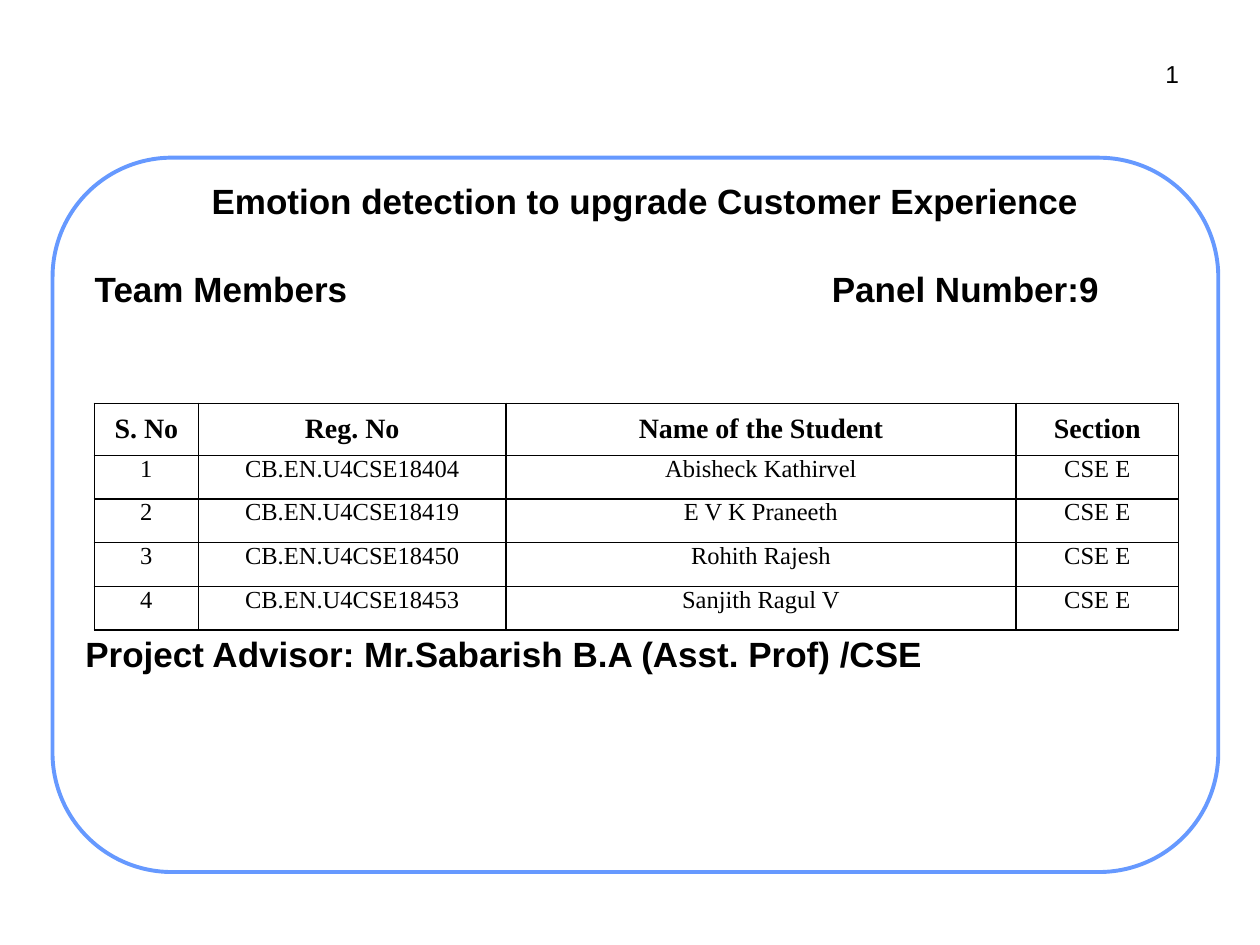
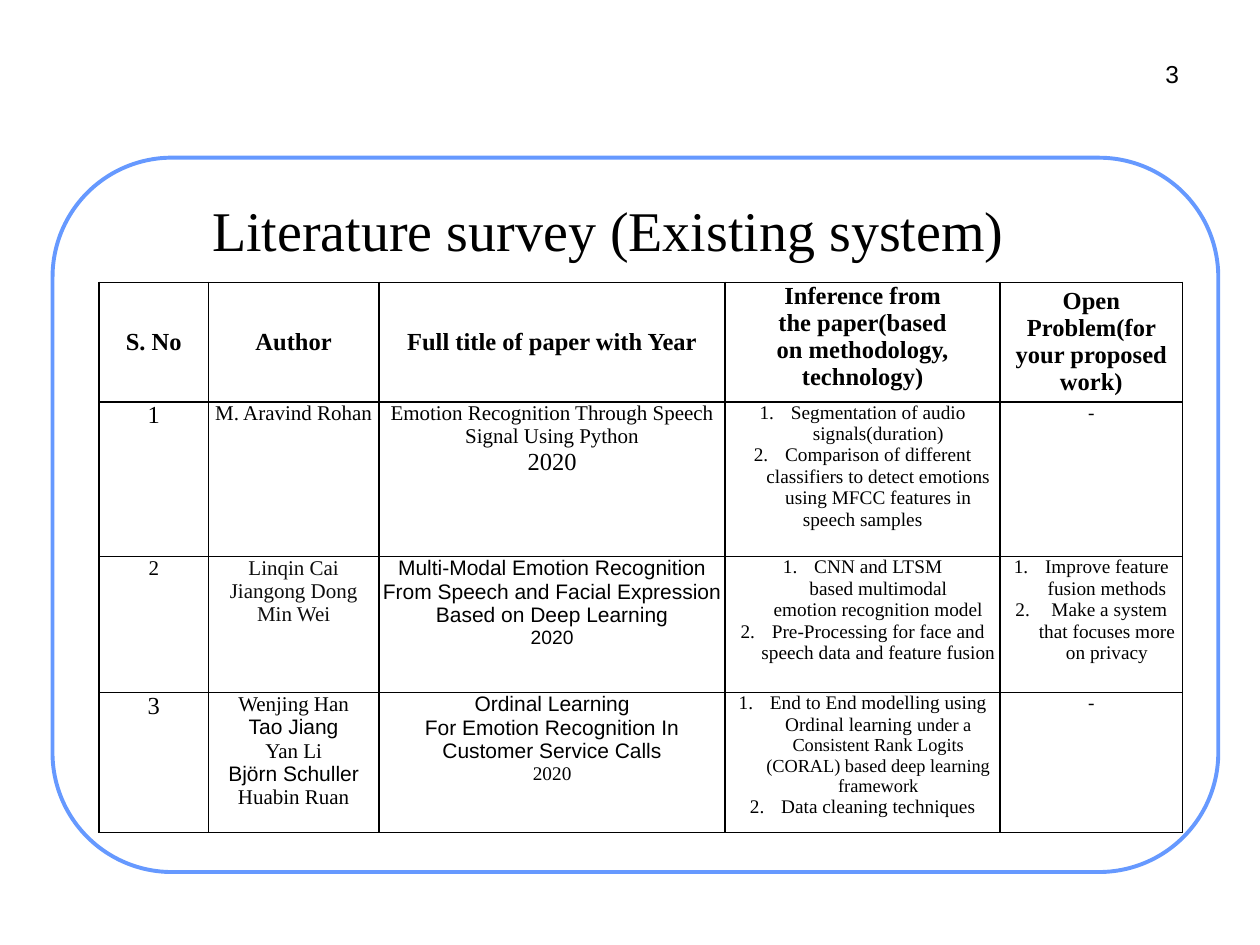
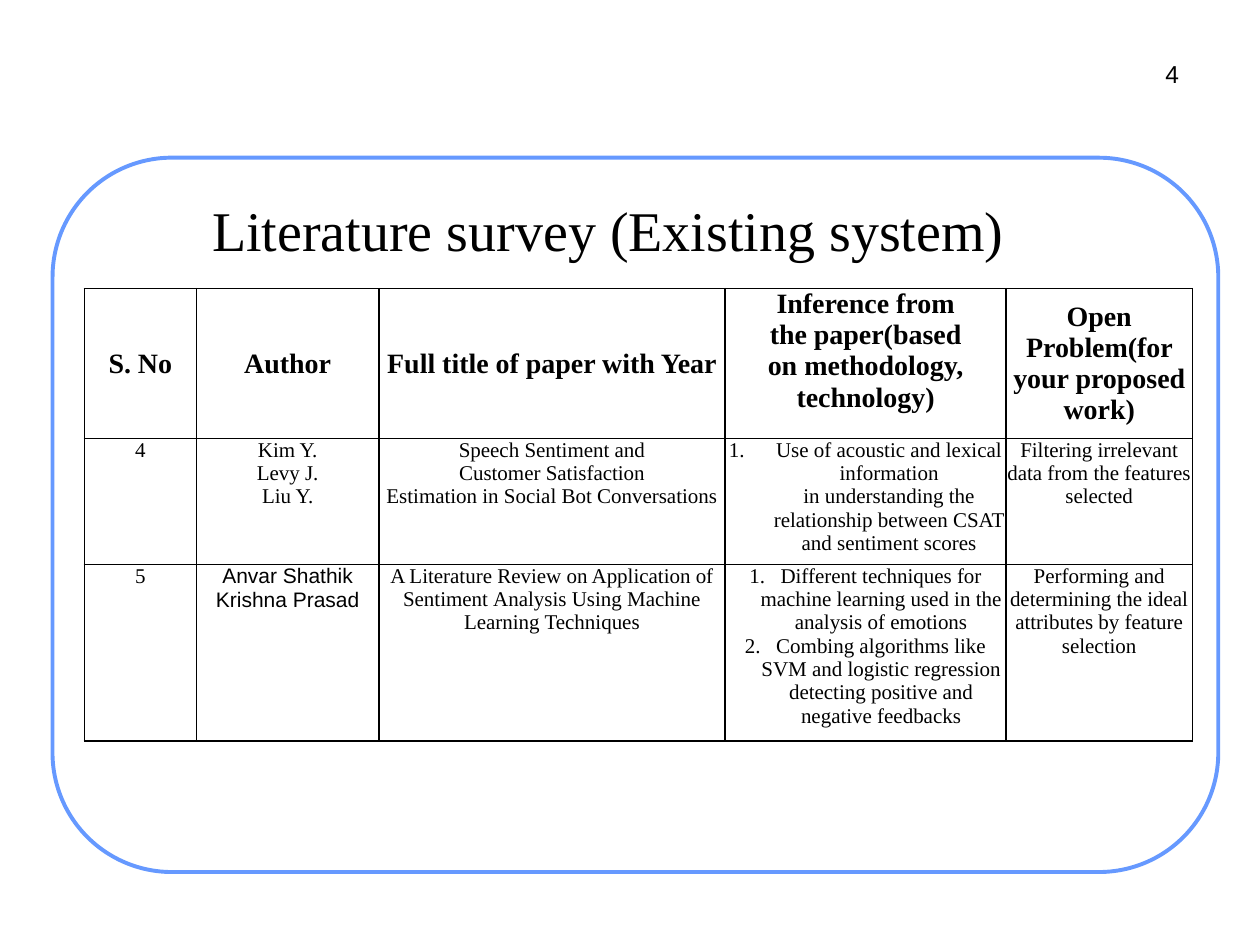
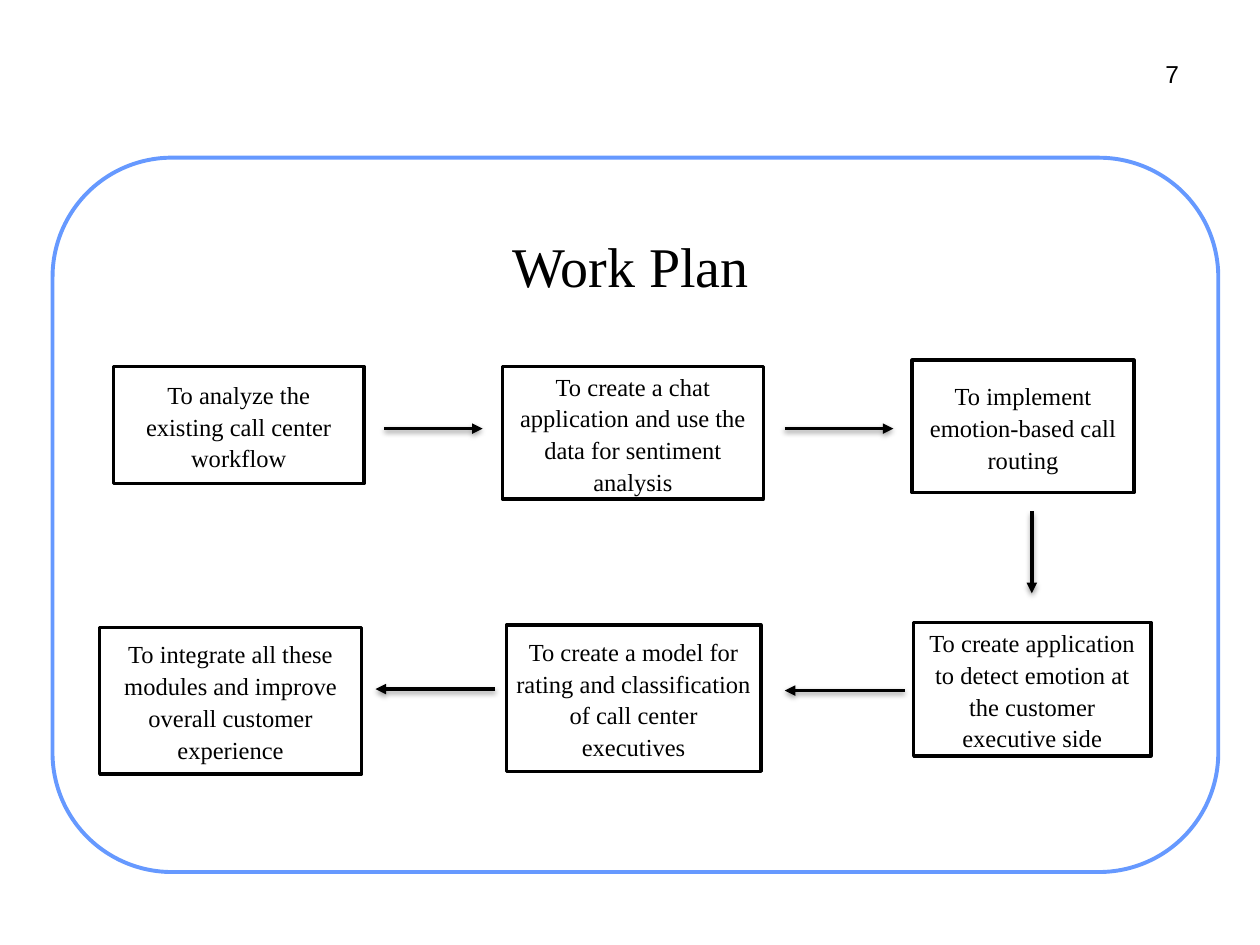
from dataclasses import dataclass

from lxml.etree import SubElement
from pptx import Presentation
from pptx.dml.color import RGBColor
from pptx.enum.shapes import MSO_CONNECTOR, MSO_SHAPE
from pptx.enum.text import MSO_ANCHOR, PP_ALIGN
from pptx.oxml import parse_xml
from pptx.oxml.ns import nsdecls, qn
from pptx.util import Cm, Pt


@dataclass(frozen=True)
class Theme:
    """Colours, fonts and type sizes of the whole deck."""
    black: str = "000000"
    soft_black: str = "0D0D0D"
    white: str = "FFFFFF"
    frame_blue: str = "6699FF"
    sans: str = "Arial"
    serif: str = "Times New Roman"
    title: float = 32
    heading: float = 20
    large: float = 16
    normal: float = 14
    small: float = 12
    fine: float = 11
    finest: float = 10.5


THEME = Theme()
LIST_INDENT = 0.63
SURVEY_TITLE = "Literature survey (Existing system)"
SURVEY_HEADER = [
    "S. No",
    "Author",
    "Full title of paper with Year",
    ["Inference\u00a0from the\u00a0paper(based on\u00a0methodology,", "technology)"],
    "Open Problem(for your proposed work)",
]


def rgb(color):
    """Turn a hex string into a colour."""
    return RGBColor.from_string(color)


def lengths(values):
    """Turn numbers in centimetres into lengths."""
    return [Cm(value) for value in values]


def write_paragraph(paragraph, text, font=THEME.serif, size=THEME.normal, color=THEME.black,
                    bold=False, align=PP_ALIGN.CENTER, spacing=None, indent=0):
    """Write one formatted paragraph; text may be a list of (text, size) runs."""
    paragraph.alignment = align
    paragraph.line_spacing = spacing
    if indent:
        properties = paragraph._p.get_or_add_pPr()
        properties.set("marL", str(Cm(indent)))
        properties.set("indent", str(-Cm(indent)))
        SubElement(properties, qn("a:buAutoNum"), type="arabicPeriod")
    for run_text, run_size in [(text, size)] if isinstance(text, str) else text:
        run = paragraph.add_run()
        run.text = run_text
        run.font.name = font
        run.font.size = Pt(run_size)
        run.font.bold = bold
        run.font.color.rgb = rgb(color)


def write_text(frame, content, **text_format):
    """Fill a text frame; content is a text, or a list of texts and (text, format) pairs."""
    items = content if isinstance(content, list) else [content]
    for index, item in enumerate(items):
        text, own_format = item if isinstance(item, tuple) else (item, {})
        paragraph = frame.add_paragraph() if index else frame.paragraphs[0]
        write_paragraph(paragraph, text, **{**text_format, **own_format})


def set_margins(frame, horizontal=0.13, vertical=0.13):
    """Set the inner margins of a text frame."""
    frame.margin_left = frame.margin_right = Cm(horizontal)
    frame.margin_top = frame.margin_bottom = Cm(vertical)


def add_text(slide, place, text, anchor=MSO_ANCHOR.TOP, wrap=True, **text_format):
    """Add a text box."""
    frame = slide.shapes.add_textbox(*lengths(place)).text_frame
    frame.word_wrap = wrap
    frame.vertical_anchor = anchor
    set_margins(frame)
    write_text(frame, text, **text_format)


def add_panel(slide, kind, place, line_color, line_width):
    """Add a white outlined shape."""
    shape = slide.shapes.add_shape(kind, *lengths(place))
    shape.shadow.inherit = False
    shape.fill.solid()
    shape.fill.fore_color.rgb = rgb(THEME.white)
    shape.line.color.rgb = rgb(line_color)
    shape.line.width = Pt(line_width)
    return shape


def add_step(slide, place, text, margin=0.19):
    """Add one boxed step of the work plan."""
    shape = add_panel(slide, MSO_SHAPE.RECTANGLE, place, THEME.black, 2)
    frame = shape.text_frame
    frame.word_wrap = True
    frame.vertical_anchor = MSO_ANCHOR.MIDDLE
    set_margins(frame, horizontal=margin)
    write_text(frame, text, spacing=1.08)


def add_arrow(slide, ends):
    """Add a black arrow with a soft shadow."""
    arrow = slide.shapes.add_connector(MSO_CONNECTOR.STRAIGHT, *lengths(ends))
    arrow.line.color.rgb = rgb(THEME.black)
    arrow.line.width = Pt(2)
    SubElement(arrow.line._get_or_add_ln(), qn("a:tailEnd"), type="triangle")
    arrow._element.spPr.append(parse_xml(
        f'<a:effectLst {nsdecls("a")}><a:outerShdw blurRad="38100" dist="20000" dir="5400000" '
        f'rotWithShape="0"><a:srgbClr val="{THEME.black}"><a:alpha val="38000"/></a:srgbClr>'
        '</a:outerShdw></a:effectLst>'))


def set_borders(cell):
    """Draw a thin black line on all four sides of a cell."""
    properties = cell._tc.get_or_add_tcPr()
    for index, side in enumerate(("lnL", "lnR", "lnT", "lnB")):
        properties.insert(index, parse_xml(
            f'<a:{side} {nsdecls("a")} w="{Pt(1)}"><a:solidFill>'
            f'<a:srgbClr val="{THEME.black}"/></a:solidFill></a:{side}>'))


def add_grid(slide, corner, widths, heights, rows, header_size, body_size, top_header=None):
    """Add a ruled table; top_header is the header column that is aligned to the top."""
    table = slide.shapes.add_table(len(rows), len(widths), *lengths(
        (*corner, sum(widths), sum(heights)))).table
    table.first_row = table.horz_banding = False
    for column, width in zip(table.columns, widths):
        column.width = Cm(width)
    for row, height in zip(table.rows, heights):
        row.height = Cm(height)
    for row_index, row in enumerate(rows):
        header = row_index == 0
        for column_index, content in enumerate(row):
            cell = table.cell(row_index, column_index)
            set_margins(cell, 0, 0)
            centred = header and column_index != top_header
            cell.vertical_anchor = MSO_ANCHOR.MIDDLE if centred else MSO_ANCHOR.TOP
            cell.fill.background()
            set_borders(cell)
            write_text(cell.text_frame, content, bold=header,
                       size=header_size if header else body_size)


def numbered(*texts, size=THEME.small, indent=LIST_INDENT):
    """Make numbered paragraphs for a cell."""
    return [(text, {"size": size, "indent": indent}) for text in texts]


def sans(text, **text_format):
    """Make one sans-serif paragraph."""
    return text, {"font": THEME.sans, **text_format}


def start_slide(presentation, number):
    """Add a blank slide with the shared frame and its number."""
    slide = presentation.slides.add_slide(presentation.slide_layouts[6])
    frame = add_panel(slide, MSO_SHAPE.ROUNDED_RECTANGLE, (1.06, 3.18, 23.5, 14.4),
                      THEME.frame_blue, 2.25)
    frame.adjustments[0] = 0.167
    add_text(slide, (23.34, 1.07, 0.56, 0.81), str(number), wrap=False,
             font=THEME.sans, align=PP_ALIGN.RIGHT)
    return slide


def add_title(slide, text, place=(2.74, 3.5, 19.05, 2.23)):
    """Add the slide title."""
    add_text(slide, place, text, anchor=MSO_ANCHOR.MIDDLE, size=THEME.title)


def build_team(presentation):
    """Build the opening slide with the team."""
    slide = start_slide(presentation, 1)
    heading = {"font": THEME.sans, "size": THEME.heading, "bold": True}
    add_text(slide, (3.48, 3.4, 19.05, 1.27), "Emotion detection to upgrade Customer Experience",
             anchor=MSO_ANCHOR.MIDDLE, **heading)
    for place, text in (
        ((1.78, 5.26, 8, 1.1), "Team Members"),
        ((16.64, 5.26, 7, 1.1), "Panel Number:9"),
        ((1.59, 12.62, 21, 1.1), "Project Advisor: Mr.Sabarish B.A (Asst. Prof) /CSE"),
    ):
        add_text(slide, place, text, align=PP_ALIGN.LEFT, **heading)
    students = [("404", "Abisheck Kathirvel"), ("419", "E V K Praneeth"),
                ("450", "Rohith Rajesh"), ("453", "Sanjith Ragul V")]
    rows = [["S. No", "Reg. No", "Name of the Student", "Section"]]
    rows += [[str(number), f"CB.EN.U4CSE18{code}", name, "CSE E"]
             for number, (code, name) in enumerate(students, 1)]
    add_grid(slide, (1.9, 8.13), (2.1, 6.2, 10.28, 3.28), [1.05] + [0.88] * len(students),
             rows, THEME.large, THEME.normal)


def build_first_survey(presentation):
    """Build the survey slide with papers 1 to 3."""
    slide = start_slide(presentation, 3)
    add_title(slide, SURVEY_TITLE)
    normal, fine = {"size": THEME.normal}, {"size": THEME.fine}
    soft = {"color": THEME.soft_black}
    rows = [
        SURVEY_HEADER,
        [
            [("1", normal)],
            "M. Aravind Rohan",
            ["Emotion Recognition Through Speech Signal Using Python", ("2020", normal)],
            numbered("Segmentation of audio signals(duration)",
                     "Comparison of different classifiers to detect emotions using MFCC "
                     "features in", size=THEME.fine) + [("speech samples", fine)],
            [("-", fine)],
        ],
        [
            "2",
            [(name, soft) for name in ("Linqin Cai", "Jiangong\u00a0Dong", "Min Wei")],
            [sans("Multi-Modal Emotion\u00a0Recognition From Speech and\u00a0Facial Expression "
                  "Based on\u00a0Deep Learning"), sans("2020", **fine)],
            numbered("CNN and LTSM based\u00a0multimodal emotion\u00a0recognition model",
                     "Pre-Processing for face and speech data and feature fusion",
                     size=THEME.fine),
            numbered("Improve feature fusion methods",
                     "\u00a0Make a system that focuses more on privacy", size=THEME.fine),
        ],
        [
            [("3", normal)],
            ["Wenjing Han", sans("Tao Jiang"), "Yan Li", sans("Björn Schuller"), "Huabin Ruan"],
            [sans("Ordinal Learning For\u00a0Emotion\u00a0Recognition In "
                  "Customer\u00a0Service Calls"), ("2020", fine)],
            numbered([("End to End modelling using Ordinal learning\u00a0", THEME.fine),
                      ("under a Consistent Rank Logits (CORAL) based deep learning framework",
                       THEME.finest)],
                     "Data cleaning techniques", size=THEME.fine),
            [("-", fine)],
        ],
    ]
    add_grid(slide, (2, 5.69), (2.2, 3.44, 6.98, 5.54, 3.68), (2.41, 3.12, 2.74, 2.82),
             rows, THEME.normal, THEME.small, top_header=3)


def build_second_survey(presentation):
    """Build the survey slide with papers 4 and 5."""
    slide = start_slide(presentation, 4)
    add_title(slide, SURVEY_TITLE)
    rows = [
        SURVEY_HEADER,
        [
            "4",
            ["Kim Y.", "Levy J.", "Liu Y."],
            ["Speech Sentiment and Customer\u00a0Satisfaction",
             "Estimation\u00a0in\u00a0Social Bot\u00a0Conversations"],
            numbered("Use of acoustic and lexical information in\u00a0understanding the "
                     "relationship between CSAT and sentiment scores", indent=0.95),
            "Filtering irrelevant data from the features selected",
        ],
        [
            "5",
            [sans("Anvar\u00a0Shathik"), sans("Krishna Prasad")],
            "A Literature Review on Application of Sentiment\u00a0Analysis Using Machine "
            "Learning Techniques",
            numbered("Different techniques for machine learning used in the analysis of emotions",
                     "Combing algorithms like SVM and logistic regression detecting positive "
                     "and negative feedbacks"),
            "Performing and determining the ideal attributes by feature selection",
        ],
    ]
    add_grid(slide, (1.7, 5.82), (2.26, 3.68, 6.98, 5.66, 3.76), (3.02, 2.03, 2.9),
             rows, THEME.large, THEME.small, top_header=3)


def build_work_plan(presentation):
    """Build the work plan with its six linked steps."""
    slide = start_slide(presentation, 7)
    add_title(slide, "Work Plan", place=(2.46, 3.76, 20.5, 3.15))
    add_step(slide, (2.29, 7.39, 5.05, 2.36), "To analyze the existing call center workflow",
             margin=0.45)
    for place, text in (
        ((10.13, 7.39, 5.26, 2.67),
         "To create a chat application and use the data for sentiment analysis"),
        ((18.39, 7.26, 4.47, 2.67), "To implement emotion-based call routing"),
        ((18.42, 12.55, 4.78, 2.69),
         "To create application to detect emotion at the customer executive side"),
        ((10.21, 12.6, 5.13, 2.95),
         "To create a model for rating and classification of call center executives"),
        ((2.01, 12.65, 5.28, 2.95),
         "To integrate all these modules and improve overall customer experience"),
    ):
        add_step(slide, place, text)
    for ends in (
        (7.75, 8.64, 9.73, 8.64),
        (15.82, 8.64, 18.01, 8.64),
        (20.8, 10.31, 20.8, 11.96),
        (18.24, 13.92, 15.82, 13.92),
        (9.98, 13.89, 7.57, 13.89),
    ):
        add_arrow(slide, ends)


def main():
    """Build the deck and save it."""
    presentation = Presentation()
    presentation.slide_width, presentation.slide_height = Cm(25.4), Cm(19.05)
    build_team(presentation)
    build_first_survey(presentation)
    build_second_survey(presentation)
    build_work_plan(presentation)
    presentation.save("out.pptx")


main()
